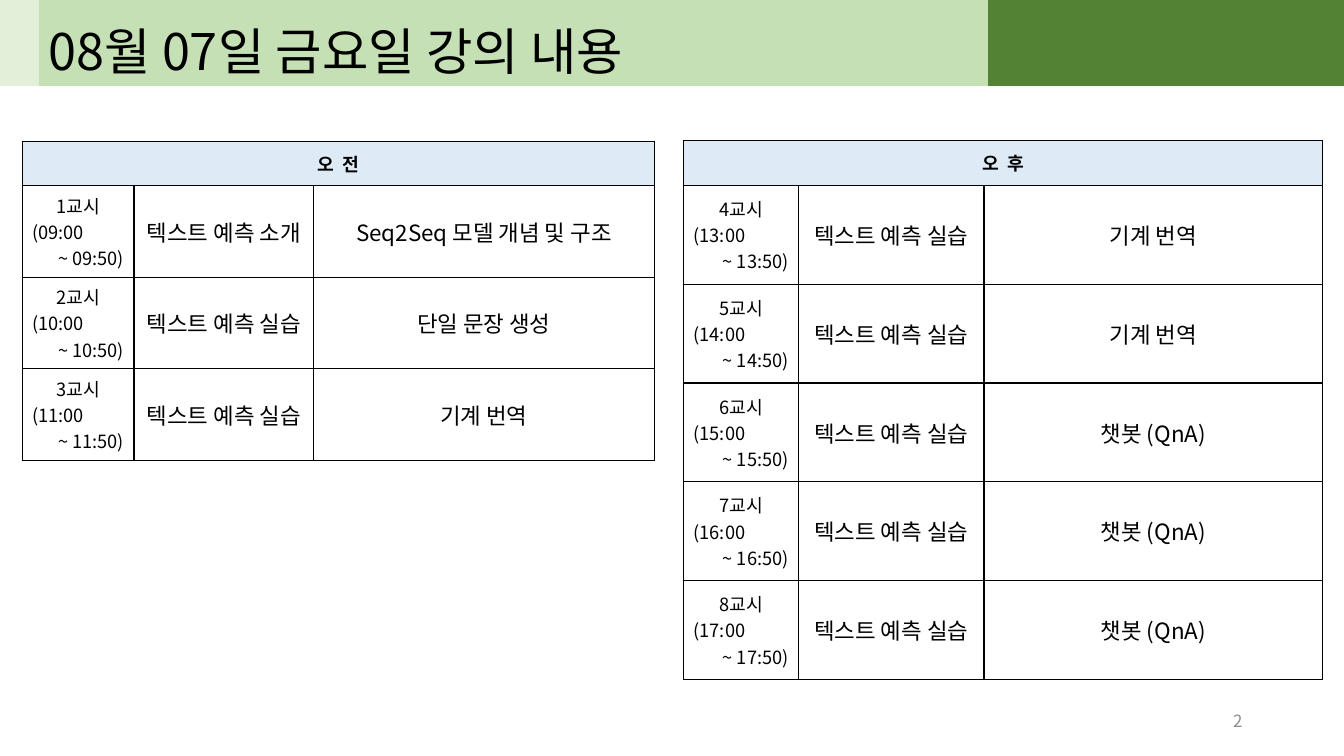
from dataclasses import dataclass

from lxml.etree import SubElement
from pptx import Presentation
from pptx.dml.color import RGBColor
from pptx.enum.shapes import MSO_SHAPE as Preset
from pptx.enum.text import MSO_ANCHOR as Anchor, MSO_AUTO_SIZE as AutoSize, PP_ALIGN as Align
from pptx.oxml.ns import qn
from pptx.util import Inches, Pt


@dataclass(frozen=True)
class Theme:
    font: str = "Noto Sans CJK KR"
    ink: str = "000000"
    muted: str = "8C8C8C"
    heading_fill: str = "DEEBF7"
    pale_green: str = "E2F0D9"
    light_green: str = "C5E0B4"
    dark_green: str = "548235"
    title_size: int = 36
    subject_size: int = 16
    period_size: int = 13
    number_size: int = 12


class LectureSlide:
    def __init__(self, deck, theme):
        self.theme = theme
        self.slide = deck.slides.add_slide(deck.slide_layouts[5])

    def set_text(self, frame, text, size, aligns, color=None, bold=False):
        frame.text = text
        for paragraph, align in zip(frame.paragraphs, aligns):
            paragraph.alignment = align
            for run in paragraph.runs:
                run.font.size = Pt(size)
                run.font.bold = bold
                run.font.color.rgb = RGBColor.from_string(color or self.theme.ink)
                run.font.name = self.theme.font
                SubElement(run._r.get_or_add_rPr(), qn("a:ea"), typeface=self.theme.font)

    def paint(self, shape, color):
        shape.fill.solid()
        shape.fill.fore_color.rgb = RGBColor.from_string(color)
        shape.line.color.rgb = RGBColor.from_string(color)
        shape.line.width = Pt(1)

    def band(self, left, width, height, color):
        band = self.slide.shapes.add_shape(
            Preset.RECTANGLE, Inches(left), 0, Inches(width), Inches(height))
        band.shadow.inherit = False
        self.paint(band, color)

    def title(self, text, left, width, height):
        title = self.slide.shapes.title
        title.left, title.top = Inches(left), 0
        title.width, title.height = Inches(width), Inches(height)
        self.paint(title, self.theme.light_green)
        frame = title.text_frame
        frame.word_wrap = True
        frame.auto_size = AutoSize.NONE
        frame.vertical_anchor = Anchor.BOTTOM
        self.set_text(frame, text, self.theme.title_size, [Align.LEFT])

    def page_number(self, text, left, top, width, height):
        number = self.slide.shapes.add_textbox(
            Inches(left), Inches(top), Inches(width), Inches(height))
        number.text_frame.word_wrap = True
        number.text_frame.vertical_anchor = Anchor.MIDDLE
        self.set_text(number.text_frame, text, self.theme.number_size,
                      [Align.RIGHT], self.theme.muted)

    def cell(self, cell, text, size, aligns=(Align.CENTER,), fill=None, bold=False, inset=None):
        properties = cell._tc.get_or_add_tcPr()
        for side in ("lnL", "lnR", "lnT", "lnB"):
            border = SubElement(properties, qn(f"a:{side}"), w=str(Pt(1)))
            SubElement(SubElement(border, qn("a:solidFill")), qn("a:srgbClr"), val=self.theme.ink)
        if fill:
            cell.fill.solid()
            cell.fill.fore_color.rgb = RGBColor.from_string(fill)
        else:
            cell.fill.background()
        cell.vertical_anchor = Anchor.MIDDLE
        if inset is not None:
            cell.margin_left = cell.margin_right = Inches(inset)
            cell.margin_top = cell.margin_bottom = Inches(inset)
        self.set_text(cell.text_frame, text, size, aligns, bold=bold)

    def timetable(self, heading, left, top, widths, heading_height, lesson_height,
                  first_period, first_hour, lessons):
        theme = self.theme
        height = heading_height + lesson_height * len(lessons)
        table = self.slide.shapes.add_table(
            len(lessons) + 1, len(widths), Inches(left), Inches(top),
            Inches(sum(widths)), Inches(height)).table
        table.first_row = table.horz_banding = False
        for column, width in zip(table.columns, widths):
            column.width = Inches(width)
        for index, row in enumerate(table.rows):
            row.height = Inches(lesson_height if index else heading_height)
        table.cell(0, 0).merge(table.cell(0, len(widths) - 1))
        for column in range(len(widths)):
            self.cell(table.cell(0, column), "" if column else heading,
                      theme.period_size, fill=theme.heading_fill, bold=True)
        for index, (subject, topic) in enumerate(lessons):
            hour = first_hour + index
            period = f"{first_period + index}교시\n({hour:02}:00\n~ {hour:02}:50)"
            row = index + 1
            self.cell(table.cell(row, 0), period, theme.period_size,
                      (Align.CENTER, Align.LEFT, Align.RIGHT))
            self.cell(table.cell(row, 1), subject, theme.subject_size, inset=0)
            self.cell(table.cell(row, 2), topic, theme.subject_size, inset=0)


def main():
    deck = Presentation()
    deck.slide_width, deck.slide_height = Inches(13.33), Inches(7.5)
    theme = Theme()
    lecture = LectureSlide(deck, theme)
    practice = "텍스트 예측 실습"
    translation = (practice, "기계 번역")
    chatbot = (practice, "챗봇 (QnA)")

    lecture.page_number("2", 9.42, 6.95, 3, 0.4)
    lecture.timetable(
        "오  전", 0.22, 1.4, (1.11, 1.78, 3.38), 0.44, 0.91, 1, 9,
        [("텍스트 예측 소개", "Seq2Seq 모델 개념 및 구조"),
         (practice, "단일 문장 생성"), translation])
    lecture.timetable(
        "오  후", 6.78, 1.39, (1.14, 1.84, 3.36), 0.45, 0.98, 4, 13,
        [translation] * 2 + [chatbot] * 3)
    lecture.band(0, 0.38, 0.85, theme.pale_green)
    lecture.title("08월 07일 금요일 강의 내용", 0.38, 9.44, 0.85)
    lecture.band(9.81, 3.52, 0.85, theme.dark_green)
    deck.save("out.pptx")


if __name__ == "__main__":
    main()
